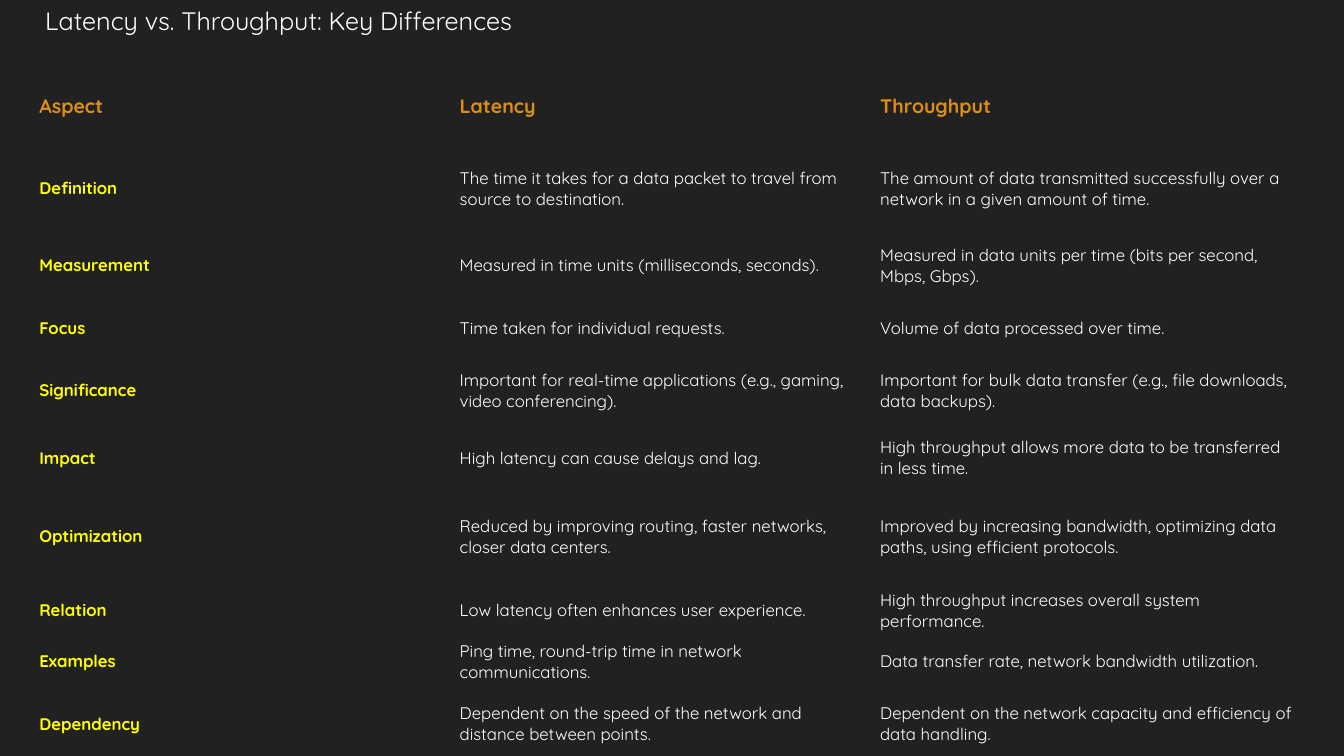
from dataclasses import dataclass

from pptx import Presentation
from pptx.dml.color import RGBColor
from pptx.enum.text import MSO_ANCHOR, MSO_AUTO_SIZE
from pptx.oxml.ns import qn
from pptx.slide import Slide
from pptx.table import _Cell as Cell
from pptx.text.text import _Paragraph as Paragraph
from pptx.util import Inches, Pt


@dataclass(frozen=True)
class TextStyle:
    size: int
    color: RGBColor
    bold: bool = False


@dataclass(frozen=True)
class Theme:
    font: str = "Quicksand"
    background: RGBColor = RGBColor(0x21, 0x21, 0x21)
    title: TextStyle = TextStyle(18, RGBColor(0xFF, 0xFF, 0xFF))
    header: TextStyle = TextStyle(14, RGBColor(0xDC, 0x8F, 0x14), True)
    aspect: TextStyle = TextStyle(12, RGBColor(0xFF, 0xFF, 0x00), True)
    body: TextStyle = TextStyle(12, RGBColor(0xFF, 0xFF, 0xFF))
    table_style: str = "{2D5ABB26-0587-4C30-8999-92F81FD0307C}"


@dataclass(frozen=True)
class Comparison:
    height: float
    aspect: str
    latency: str
    throughput: str


THEME = Theme()
LEFT = 0.35
TABLE_TOP = 0.63
COLUMN_WIDTH = 4.17
TITLE = "Latency vs. Throughput: Key Differences"
COMPARISONS = [
    Comparison(0.84, "Aspect", "Latency", "Throughput"),
    Comparison(
        0.8, "Definition",
        "The time it takes for a data packet to travel from source to destination.",
        "The amount of data transmitted successfully over a network in a given amount of time.",
    ),
    Comparison(
        0.73, "Measurement",
        "Measured in time units (milliseconds, seconds).",
        "Measured in data units per time (bits per second, Mbps, Gbps).",
    ),
    Comparison(
        0.51, "Focus",
        "Time taken for individual requests.",
        "Volume of data processed over time.",
    ),
    Comparison(
        0.73, "Significance",
        "Important for real-time applications (e.g., gaming, video conferencing).",
        "Important for bulk data transfer (e.g., file downloads, data backups).",
    ),
    Comparison(
        0.61, "Impact",
        "High latency can cause delays and lag.",
        "High throughput allows more data to be transferred in less time.",
    ),
    Comparison(
        0.95, "Optimization",
        "Reduced by improving routing, faster networks, closer data centers.",
        "Improved by increasing bandwidth, optimizing data paths, using efficient protocols.",
    ),
    Comparison(
        0.51, "Relation",
        "Low latency often enhances user experience.",
        "High throughput increases overall system performance.",
    ),
    Comparison(
        0.51, "Examples",
        "Ping time, round-trip time in network communications.",
        "Data transfer rate, network bandwidth utilization.",
    ),
    Comparison(
        0.73, "Dependency",
        "Dependent on the speed of the network and distance between points.",
        "Dependent on the network capacity and efficiency of data handling.",
    ),
]


def write(paragraph: Paragraph, text: str, style: TextStyle) -> None:
    paragraph.text = text
    for run in paragraph.runs:
        run.font.name = THEME.font
        run.font.size = Pt(style.size)
        run.font.bold = style.bold
        run.font.color.rgb = style.color


def add_title(slide: Slide) -> None:
    box = slide.shapes.add_textbox(Inches(LEFT), Inches(0), Inches(5.08), Inches(0.4))
    box.text_frame.word_wrap = False
    box.text_frame.auto_size = MSO_AUTO_SIZE.SHAPE_TO_FIT_TEXT
    write(box.text_frame.paragraphs[0], TITLE, THEME.title)


def fill_cell(cell: Cell, text: str, style: TextStyle) -> None:
    cell.fill.background()
    cell.vertical_anchor = MSO_ANCHOR.MIDDLE
    cell.margin_left = cell.margin_right = Inches(0.04)
    cell.margin_top = cell.margin_bottom = Inches(0.02)
    write(cell.text_frame.paragraphs[0], text, style)


def add_comparison_table(slide: Slide) -> None:
    height = sum(comparison.height for comparison in COMPARISONS)
    frame = slide.shapes.add_table(
        len(COMPARISONS), 3, Inches(LEFT), Inches(TABLE_TOP),
        Inches(3 * COLUMN_WIDTH), Inches(height),
    )
    for style_id in frame.element.iter(qn("a:tableStyleId")):
        style_id.text = THEME.table_style
    table = frame.table
    table.horz_banding = False
    for column in table.columns:
        column.width = Inches(COLUMN_WIDTH)
    for index, (row, comparison) in enumerate(zip(table.rows, COMPARISONS)):
        row.height = Inches(comparison.height)
        texts = (comparison.aspect, comparison.latency, comparison.throughput)
        styles = (THEME.aspect, THEME.body, THEME.body) if index else (THEME.header,) * 3
        for cell, text, style in zip(row.cells, texts, styles):
            fill_cell(cell, text, style)


def main() -> None:
    presentation = Presentation()
    presentation.slide_width = Inches(13.33)
    presentation.slide_height = Inches(7.5)
    slide = presentation.slides.add_slide(presentation.slide_layouts[6])
    slide.background.fill.solid()
    slide.background.fill.fore_color.rgb = THEME.background
    add_title(slide)
    add_comparison_table(slide)
    presentation.save("out.pptx")


if __name__ == "__main__":
    main()
